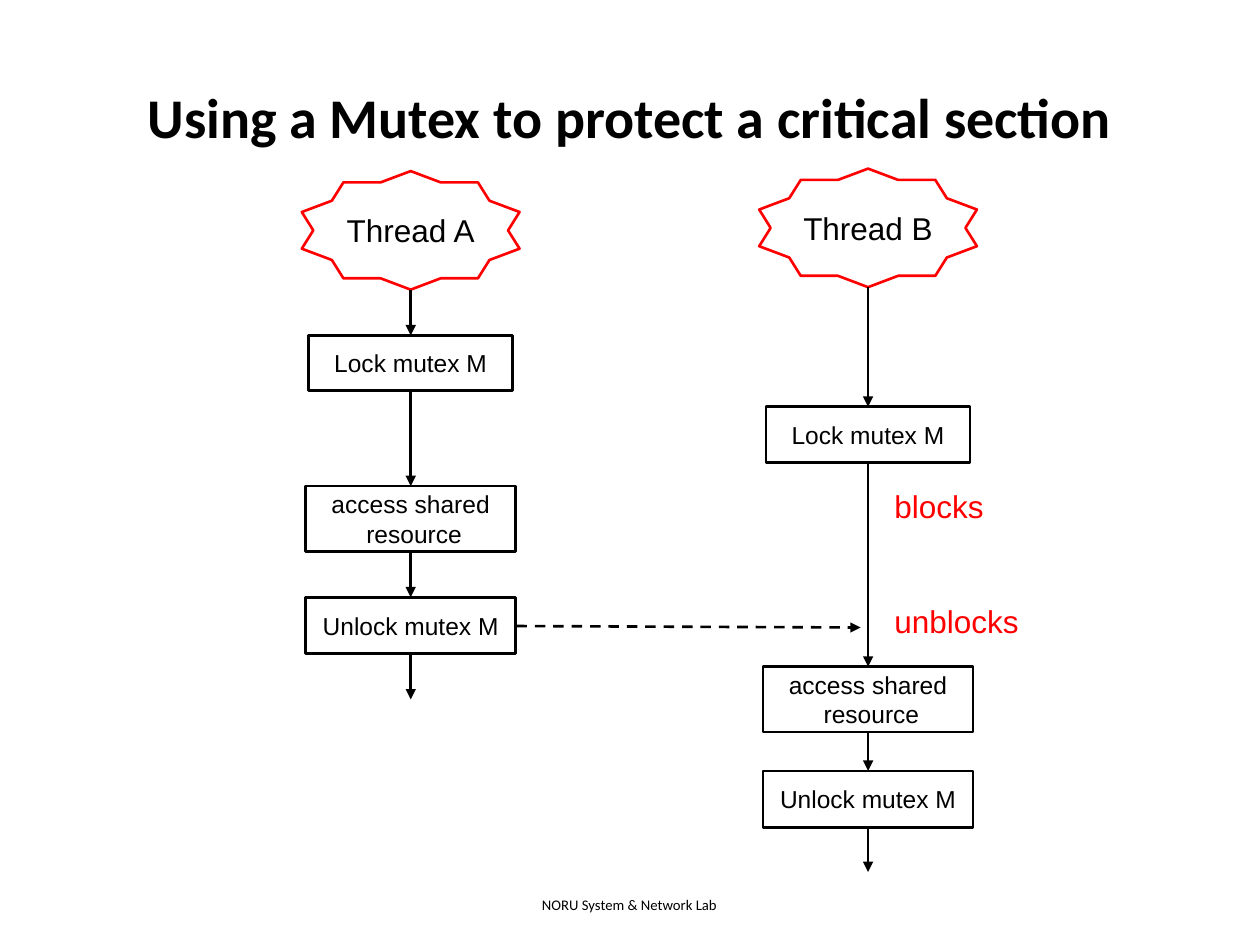
from dataclasses import dataclass

from lxml import etree
from pptx import Presentation
from pptx.dml.color import RGBColor
from pptx.enum import dml, shapes, text
from pptx.oxml import ns
from pptx.util import Cm, Pt


@dataclass(frozen=True)
class Theme:
    black: RGBColor = RGBColor(0, 0, 0)
    red: RGBColor = RGBColor(255, 0, 0)
    heading_font: str = "Calibri"
    body_font: str = "Arial"
    title_size: float = 32
    label_size: float = 18
    step_size: float = 14
    footer_size: float = 8.4
    line_width: float = 1.5


THEME = Theme()
STAR = shapes.MSO_SHAPE.STAR_10_POINT
RECT = shapes.MSO_SHAPE.RECTANGLE
CENTER = text.PP_ALIGN.CENTER
LEFT = text.PP_ALIGN.LEFT

# Kinds of step: preset, width, height, line colour, type size
KINDS = {
    "thread": (STAR, 4.39, 2.39, THEME.red, THEME.label_size),
    "lock": (RECT, 4.11, 1.12, THEME.black, THEME.step_size),
    "access": (RECT, 4.24, 1.32, THEME.black, THEME.step_size),
    "unlock": (RECT, 4.24, 1.14, THEME.black, THEME.step_size),
}
STEP_TEXT = {
    "lock": "Lock mutex M",
    "access": "access shared\n resource",
    "unlock": "Unlock mutex M",
}


def write(frame, content, size, color=THEME.black, font=THEME.body_font,
          align=CENTER, bold=False):
    frame.text = content
    for para in frame.paragraphs:
        para.alignment = align
        para.font.name = font
        para.font.size = Pt(size)
        para.font.bold = bold
        para.font.color.rgb = color


def add_label(page, left, top, width, height, content, size, **style):
    box = page.shapes.add_textbox(Cm(left), Cm(top), Cm(width), Cm(height))
    box.text_frame.word_wrap = True
    write(box.text_frame, content, size, **style)


def add_step(page, kind, axis, top, content):
    """Draw a step centred on its thread's axis and return its bottom."""
    preset, width, height, color, size = KINDS[kind]
    box = page.shapes.add_shape(preset, Cm(axis - width / 2), Cm(top),
                                Cm(width), Cm(height))
    box.shadow.inherit = False
    box.fill.background()
    box.line.color.rgb = color
    box.line.width = Pt(THEME.line_width)
    box.text_frame.word_wrap = True
    box.text_frame.vertical_anchor = text.MSO_ANCHOR.MIDDLE
    write(box.text_frame, content, size)
    return top + height


def add_arrow(page, start, end, dashed=False):
    arrow = page.shapes.add_connector(shapes.MSO_CONNECTOR.STRAIGHT,
                                      *map(Cm, start + end))
    arrow.line.color.rgb = THEME.black
    arrow.line.width = Pt(THEME.line_width)
    if dashed:
        arrow.line.dash_style = dml.MSO_LINE.DASH
    # Arrowhead, and no shadow
    properties = arrow.element.spPr
    etree.SubElement(properties.find(ns.qn("a:ln")), ns.qn("a:tailEnd"),
                     type="triangle")
    etree.SubElement(properties, ns.qn("a:effectLst"))


def add_thread(page, name, axis, star_top, step_tops, end):
    """Draw one thread: its star, its steps and the arrows between them."""
    bottom = add_step(page, "thread", axis, star_top, name)
    for (kind, content), top in zip(STEP_TEXT.items(), step_tops):
        add_arrow(page, (axis, bottom), (axis, top))
        bottom = add_step(page, kind, axis, top, content)
    add_arrow(page, (axis, bottom), (axis, end))


def add_title(page, content):
    title = page.shapes.title
    title.left, title.top = Cm(1.27), Cm(0.76)
    title.width, title.height = Cm(22.86), Cm(3.18)
    title.text_frame.vertical_anchor = text.MSO_ANCHOR.MIDDLE
    write(title.text_frame, content, THEME.title_size,
          font=THEME.heading_font, bold=True)


def main():
    deck = Presentation()
    deck.slide_width, deck.slide_height = Cm(25.4), Cm(19.05)
    page = deck.slides.add_slide(deck.slide_layouts.get_by_name("Title Only"))

    # Title and footer
    add_title(page, "Using a Mutex to protect a critical section")
    add_label(page, 7.29, 17.93, 10.8, 0.61, "NORU System & Network Lab",
              THEME.footer_size, font=THEME.heading_font)

    # The two threads
    axis_a, axis_b = 8.28, 17.5
    add_thread(page, "Thread A", axis_a, 3.45, (6.76, 9.8, 12.04), 14.1)
    add_thread(page, "Thread B", axis_b, 3.4, (8.2, 13.44, 15.54), 17.58)

    # Thread A's unlock releases thread B
    add_arrow(page, (10.41, 12.62), (17.35, 12.65), dashed=True)
    for content, top, width in (("blocks", 9.7, 2.8), ("unblocks", 12.01, 3.1)):
        add_label(page, 17.78, top, width, 1.02, content, THEME.label_size,
                  color=THEME.red, align=LEFT)

    deck.save("out.pptx")


if __name__ == "__main__":
    main()
